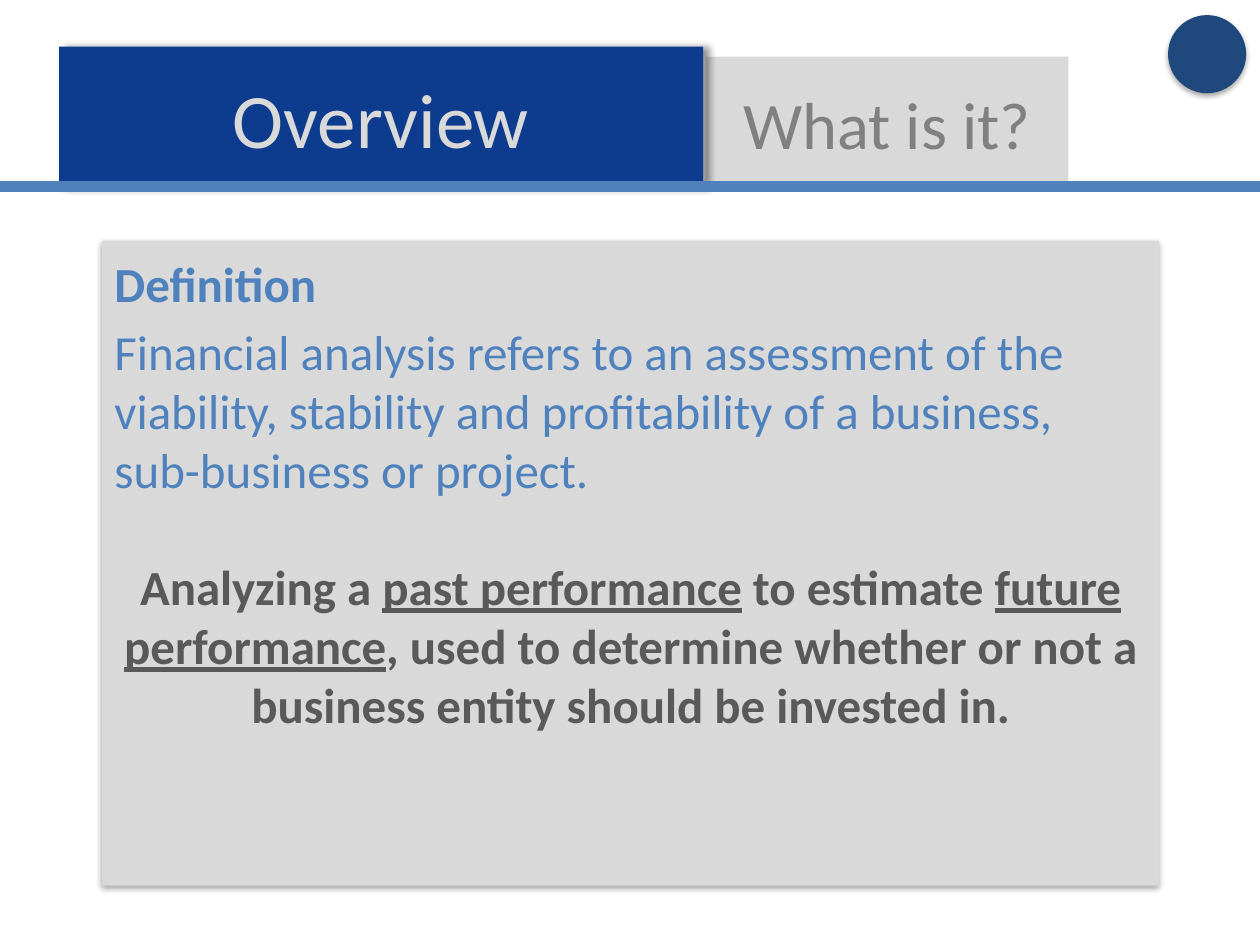
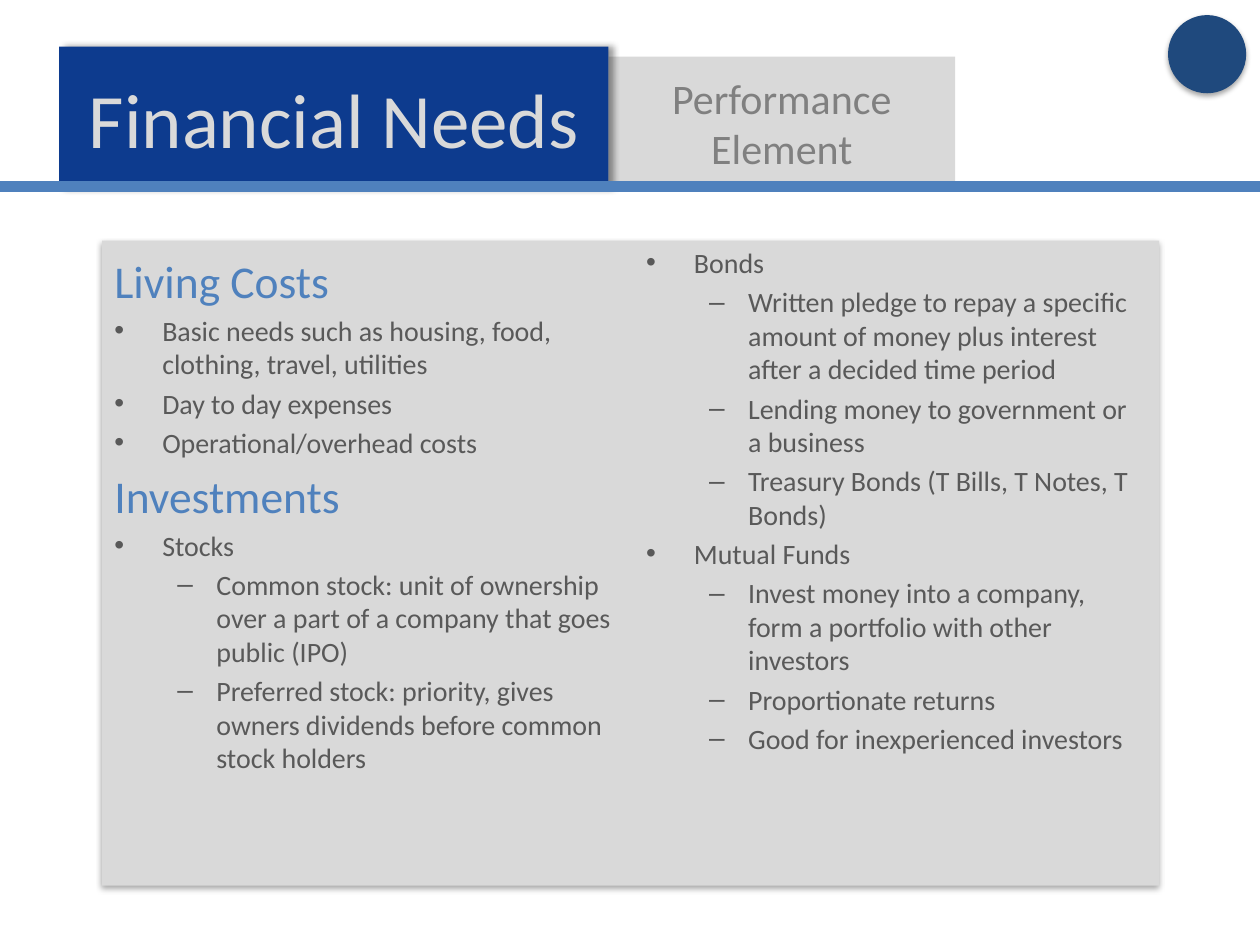
import pptx
import pptx.util
import pptx.dml.color
import pptx.enum.shapes
import pptx.enum.text
import pptx.oxml.ns
import lxml.etree

RGB = pptx.dml.color.RGBColor
NAVY = RGB(0x0D, 0x3B, 0x8E)
BLUE = RGB(0x4F, 0x81, 0xBD)
DEEP = RGB(0x1F, 0x49, 0x7D)
PALE = RGB(0xD9, 0xD9, 0xD9)
GRAY = RGB(0x80, 0x80, 0x80)
DARK = RGB(0x59, 0x59, 0x59)
FONT = "Calibri"

KINDS = pptx.enum.shapes.MSO_SHAPE
ALIGN = pptx.enum.text.PP_ALIGN
ANCHOR = pptx.enum.text.MSO_ANCHOR
Inches, Pt = pptx.util.Inches, pptx.util.Pt

WIDE, HIGH = 10, 7.5
LINE_Y = 1.48
TAB_END = 1.5
PANEL = (0.81, 1.91, 8.39, 5.12)
BADGE = (9.27, 0.12, 0.62, 0.62)
# blur, distance (points), angle (degrees), opacity (percent)
SOFT = (3.1, 1.8, 90, 35)
SIDE = (4, 3, 0, 40)

# Paragraph styles; mark is bullet sign, left indent, hanging indent
LEAD = dict(size=28, color=BLUE)
HEAD = dict(size=26, color=BLUE)
ITEM = dict(size=16, color=DARK, mark=("•", 0.38, -0.38))
SUB = dict(size=16, color=DARK, mark=("–", 0.81, -0.31))
CLAIM = dict(size=28, color=DARK, bold=True, align=ALIGN.CENTER, gap=33.5)

# Text between underscores is underlined
SLIDES = [
    dict(
        title=("Overview", 5.11),
        tab=("What is it?", 5.6, 2.88, 38),
        boxes=[((0.81, 1.96, 8.39, 4.95), [
            ("Definition", dict(LEAD, bold=True)),
            ("Financial analysis refers to an assessment of the viability, "
             "stability and profitability of a business, sub-business or "
             "project.", LEAD),
            ("Analyzing a _past performance_ to estimate _future "
             "performance_, used to determine whether or not a business "
             "entity should be invested in.", CLAIM),
        ])],
    ),
    dict(
        title=("Financial Needs", 4.36),
        tab=("Performance Element", 4.83, 2.75, 24),
        boxes=[
            ((0.81, 1.96, 4.16, 5.07), [
                ("Living Costs", HEAD),
                ("Basic needs such as housing, food, clothing, travel, "
                 "utilities", ITEM),
                ("Day to day expenses", ITEM),
                ("Operational/overhead costs", ITEM),
                ("Investments", HEAD),
                ("Stocks", ITEM),
                ("Common stock: unit of ownership over a part of a company "
                 "that goes public (IPO)", SUB),
                ("Preferred stock: priority, gives owners dividends before "
                 "common stock holders", SUB),
            ]),
            ((5.03, 1.9, 4.16, 5.07), [
                ("Bonds", ITEM),
                ("Written pledge to repay a specific amount of money plus "
                 "interest after a decided time period", SUB),
                ("Lending money to government or a business", SUB),
                ("Treasury Bonds (T Bills, T Notes, T Bonds)", SUB),
                ("Mutual Funds", ITEM),
                ("Invest money into a company, form a portfolio with other "
                 "investors", SUB),
                ("Proportionate returns", SUB),
                ("Good for inexperienced investors", SUB),
            ]),
        ],
    ),
]


def node(root, tag, **attrs):
    """Append a DrawingML child element."""
    name = pptx.oxml.ns.qn("a:" + tag)
    return lxml.etree.SubElement(
        root, name, {key: str(val) for key, val in attrs.items()})


def shade(shape, blur, dist, angle, alpha):
    """Give the shape an outer shadow."""
    shape.shadow.inherit = False
    list_ = shape._element.spPr.find(pptx.oxml.ns.qn("a:effectLst"))
    outer = node(list_, "outerShdw", blurRad=int(Pt(blur)),
                 dist=int(Pt(dist)), dir=angle * 60000, rotWithShape=0)
    black = node(outer, "srgbClr", val="000000")
    node(black, "alpha", val=alpha * 1000)


def block(slide, box, fill, kind=KINDS.RECTANGLE, cast=None):
    """Add a filled shape without outline; cast is its shadow."""
    shape = slide.shapes.add_shape(kind, *map(Inches, box))
    shape.fill.solid()
    shape.fill.fore_color.rgb = fill
    shape.line.fill.background()
    shape.shadow.inherit = False
    if cast:
        shade(shape, *cast)
    return shape


def write(frame, text, size, color, bold=False, align=ALIGN.LEFT,
          gap=None, mark=None):
    """Add one paragraph to a text frame."""
    para = frame.paragraphs[0]
    if para.runs:
        para = frame.add_paragraph()
    para.alignment = align
    para.space_before = Pt(size * 0.2 if gap is None else gap)
    if mark:
        sign, left, hang = mark
        props = para._p.get_or_add_pPr()
        props.set("marL", str(int(Inches(left))))
        props.set("indent", str(int(Inches(hang))))
        node(props, "buFont", typeface="Arial")
        node(props, "buChar", char=sign)
    for pos, part in enumerate(text.split("_")):
        run = para.add_run()
        run.text = part
        font = run.font
        font.name, font.size, font.bold = FONT, Pt(size), bold
        font.color.rgb = color
        if pos % 2:
            font.underline = True


def label(shape, text, size, color):
    """Centre one line of text in a shape."""
    frame = shape.text_frame
    frame.word_wrap = True
    frame.vertical_anchor = ANCHOR.MIDDLE
    write(frame, text, size, color, align=ALIGN.CENTER, gap=0)


def rule(slide):
    """Draw the full-width line under the tabs."""
    line = slide.shapes.add_connector(
        pptx.enum.shapes.MSO_CONNECTOR.STRAIGHT,
        0, Inches(LINE_Y), Inches(WIDE), Inches(LINE_Y))
    line.line.color.rgb = BLUE
    line.line.width = Pt(6)
    node(line._element.spPr, "effectLst")


def build(slide, title, tab, boxes):
    block(slide, PANEL, PALE, cast=SOFT)
    text, left, width, size = tab
    top = 0.45
    label(block(slide, (left, top, width, TAB_END - top), PALE),
          text, size, GRAY)
    text, width = title
    top = 0.37
    label(block(slide, (0.47, top, width, TAB_END - top), NAVY, cast=SIDE),
          text, 44, PALE)
    rule(slide)
    block(slide, BADGE, DEEP, KINDS.OVAL, SOFT)
    for box, paras in boxes:
        frame = slide.shapes.add_textbox(*map(Inches, box)).text_frame
        frame.word_wrap = True
        for text, style in paras:
            write(frame, text, **style)


def main():
    deck = pptx.Presentation()
    deck.slide_width, deck.slide_height = Inches(WIDE), Inches(HIGH)
    for spec_ in SLIDES:
        build(deck.slides.add_slide(deck.slide_layouts[6]), **spec_)
    deck.save("out.pptx")


if __name__ == "__main__":
    main()
